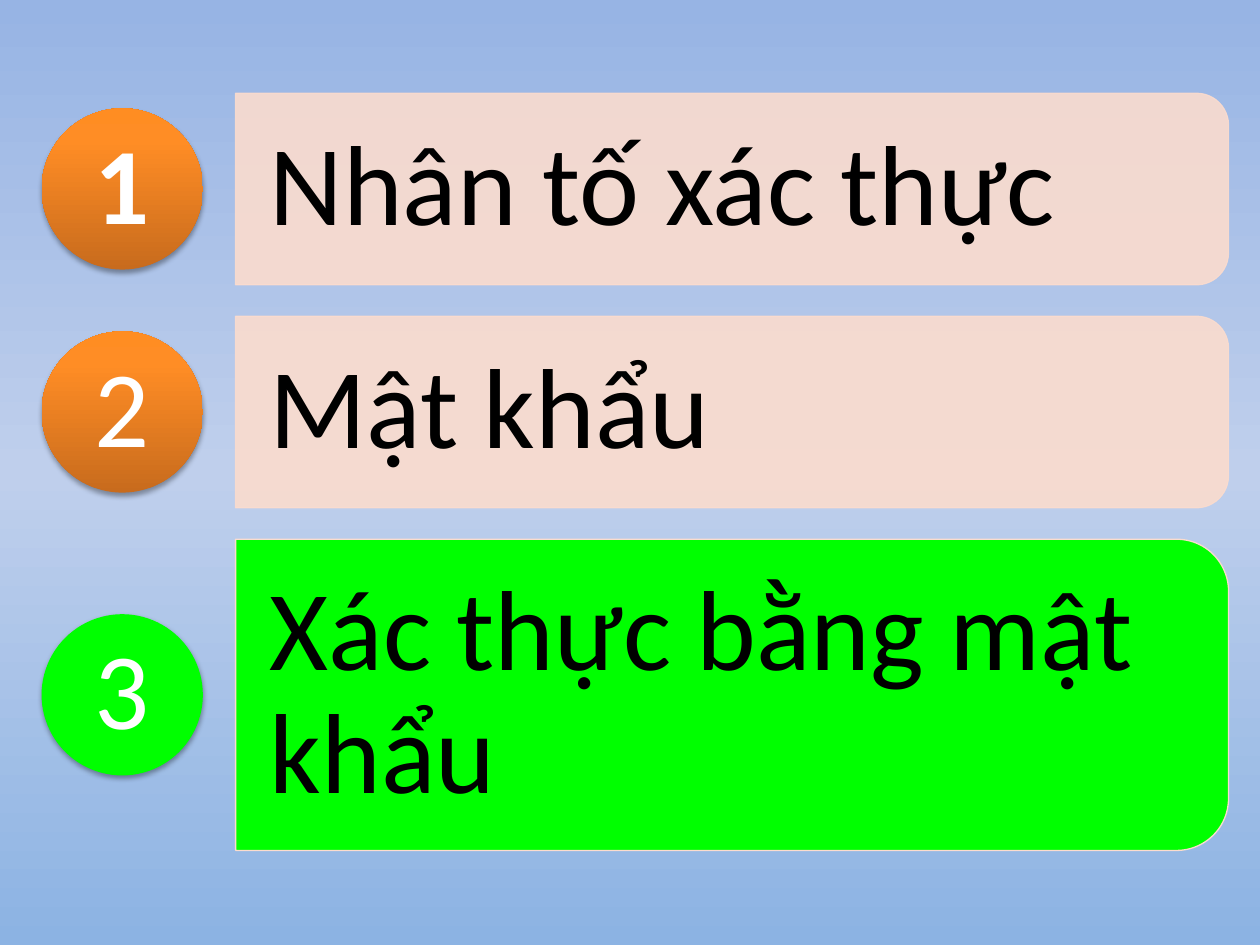
from dataclasses import dataclass

from lxml import etree
from pptx import Presentation
from pptx.dml.color import RGBColor
from pptx.enum.shapes import MSO_SHAPE
from pptx.enum.text import MSO_ANCHOR, PP_ALIGN
from pptx.oxml.ns import qn
from pptx.util import Inches, Pt

BAR = MSO_SHAPE.ROUND_2_SAME_RECTANGLE
CIRCLE = MSO_SHAPE.OVAL
MIDDLE = MSO_ANCHOR.MIDDLE
LEFT, CENTER = PP_ALIGN.LEFT, PP_ALIGN.CENTER


@dataclass(frozen=True)
class Theme:
    font: str = "Calibri"
    label_size: int = 65
    number_size: int = 62
    label: str = "000000"
    number: str = "FFFFFF"
    bar: str = "FBDCCE"
    active: str = "00FF00"
    bar_alpha: int = 90
    background: tuple = ((0, "97B4E4"), (50, "BFCFEC"), (100, "8CB3E3"))
    circle: tuple = ((0, "C86B1D"), (80, "FF8D25"), (100, "FF8D22"))


THEME = Theme()
ROWS = [
    ("1", "Nhân tố xác thực", 1.52, False),
    ("2", "Mật khẩu", 1.52, False),
    ("3", "Xác thực bằng mật khẩu", 2.47, True),
]
TOP, GAP = 0.74, 0.25
CIRCLE_LEFT, DIAMETER = 0.33, 1.28
BAR_LEFT, BAR_WIDTH = 1.87, 7.88


def add_color(parent, color, alpha=None):
    clr = etree.SubElement(parent, qn("a:srgbClr"), val=color)
    if alpha is not None:
        etree.SubElement(clr, qn("a:alpha"), val=str(alpha * 1000))


def set_gradient(fill, element, stops, angle):
    fill.gradient()
    grad = next(element.iter(qn("a:gradFill")))
    gs_list = grad.find(qn("a:gsLst"))
    for gs in list(gs_list):
        gs_list.remove(gs)
    for pos, color in stops:
        gs = etree.SubElement(gs_list, qn("a:gs"), pos=str(pos * 1000))
        add_color(gs, color)
    grad.find(qn("a:lin")).set("ang", str(angle * 60000))


def set_solid(fill, color):
    fill.solid()
    fill.fore_color.rgb = RGBColor.from_string(color)


def add_shadow(sp):
    sp.shadow.inherit = False
    effects = sp._element.spPr.find(qn("a:effectLst"))
    shadow = etree.SubElement(
        effects, qn("a:outerShdw"), blurRad=str(Pt(3.1)), dist=str(Pt(1.8)),
        dir=str(90 * 60000), rotWithShape="0")
    add_color(shadow, "000000", 35)


def write_text(sp, text, size, color, align, inset_x=0, inset_y=0, bold=False):
    tf = sp.text_frame
    frame_format = {
        "word_wrap": True, "vertical_anchor": MIDDLE,
        "margin_left": Inches(inset_x), "margin_right": Inches(inset_x),
        "margin_top": Inches(inset_y), "margin_bottom": Inches(inset_y),
    }
    p = tf.paragraphs[0]
    r = p.add_run()
    r.text = text
    formats = [
        (tf, frame_format),
        (p, {"alignment": align, "line_spacing": 0.9}),
        (r.font, {"name": THEME.font, "size": Pt(size), "bold": bold}),
    ]
    for target, values in formats:
        for name, value in values.items():
            setattr(target, name, value)
    r.font.color.rgb = RGBColor.from_string(color)


def add_bar(shapes, left, top, width, height, text, active):
    sp = shapes.add_shape(
        BAR, Inches(left + (width - height) / 2),
        Inches(top + (height - width) / 2), Inches(height), Inches(width))
    sp.rotation = 90
    sp.shadow.inherit = False
    sp.adjustments[0], sp.adjustments[1] = 0.167, 0
    set_solid(sp.fill, THEME.active if active else THEME.bar)
    set_solid(sp.line.fill, THEME.bar)
    sp.line.width = Pt(0.75)
    if not active:
        for clr in sp._element.spPr.iter(qn("a:srgbClr")):
            etree.SubElement(clr, qn("a:alpha"), val=str(THEME.bar_alpha * 1000))

    corner = 0.0488 * height
    tb = shapes.add_textbox(
        Inches(left), Inches(top + corner),
        Inches(width - corner), Inches(height - 2 * corner))
    write_text(tb, text, THEME.label_size, THEME.label, LEFT, 0.27, 0.18)


def add_circle(shapes, left, top, diameter, number, active):
    sp = shapes.add_shape(
        CIRCLE, Inches(left), Inches(top), Inches(diameter), Inches(diameter))
    if active:
        set_solid(sp.fill, THEME.active)
    else:
        set_gradient(sp.fill, sp._element, THEME.circle, 270)
    sp.line.fill.background()
    add_shadow(sp)
    write_text(sp, number, THEME.number_size, THEME.number, CENTER,
               bold=number == "1")


def add_agenda(s, top):
    shapes = s.shapes.add_group_shape().shapes
    for number, text, height, active in ROWS:
        add_bar(shapes, BAR_LEFT, top, BAR_WIDTH, height, text, active)
        add_circle(shapes, CIRCLE_LEFT, top + (height - DIAMETER) / 2,
                   DIAMETER, number, active)
        top += height + GAP


def main():
    prs = Presentation()
    prs.slide_width, prs.slide_height = Inches(10), Inches(7.5)
    s = prs.slides.add_slide(prs.slide_layouts[6])
    set_gradient(s.background.fill, s._element, THEME.background, 90)
    add_agenda(s, TOP)
    prs.save("out.pptx")


if __name__ == "__main__":
    main()
